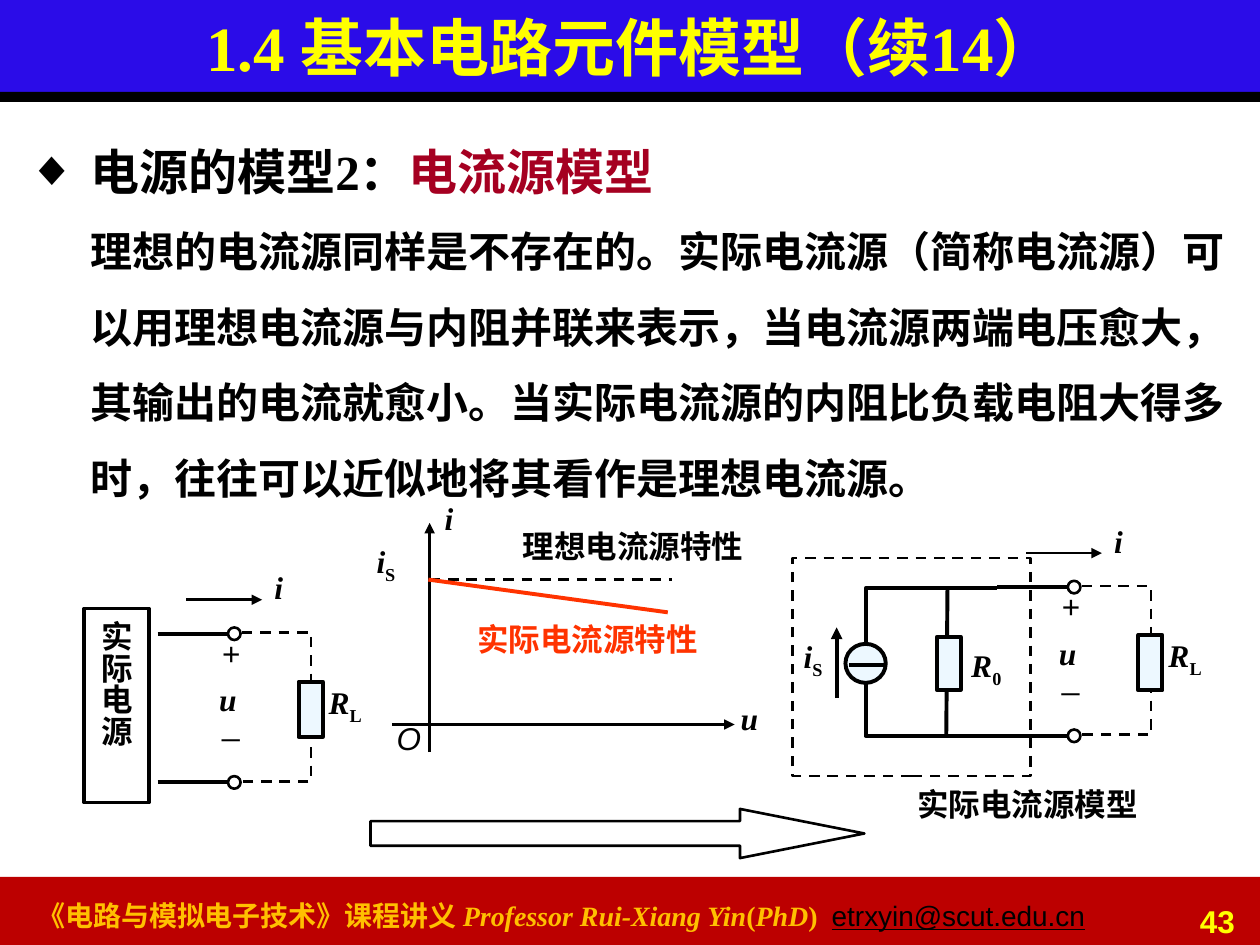
from lxml import etree
from pptx import Presentation
from pptx import util as u
from pptx.dml.color import RGBColor
from pptx.enum import dml, shapes, text
from pptx.oxml import ns

BLACK = RGBColor(0x00, 0x00, 0x00)
WHITE = RGBColor(0xFF, 0xFF, 0xFF)
YELLOW = RGBColor(0xFF, 0xFF, 0x00)
GOLD = RGBColor(0xFF, 0xC0, 0x00)
BLUE = RGBColor(0x2B, 0x0C, 0xE8)
RED = RGBColor(0xBC, 0x00, 0x00)
CRIMSON = RGBColor(0xA5, 0x00, 0x21)
ORANGE = RGBColor(0xFF, 0x33, 0x00)
PALE = RGBColor(0xED, 0xF8, 0xFF)
SERIF, SANS = "Times New Roman", "Arial"
THIN, THICK = 1.5, 2.25
KIND = shapes.MSO_SHAPE

# The slide is a grid of 100 columns by 75 rows
WIDTH, HEIGHT = u.Inches(10), u.Inches(7.5)
COL, ROW = WIDTH / 100, HEIGHT / 75


def cells(*values):
    """Turn alternating columns and rows into slide lengths."""
    return [round(v * (ROW if n % 2 else COL)) for n, v in enumerate(values)]


def place(item, *box):
    item.left, item.top, item.width, item.height = cells(*box)


def write(frame, *runs, size=18, font=SERIF, color=BLACK, bold=True,
          italic=False, underline=False, align=None):
    """Each run is a string, or a pair of a string and what differs."""
    para = frame.paragraphs[0]
    para.alignment = align
    base = dict(size=size, font=font, color=color, bold=bold,
                italic=italic, underline=underline, baseline=0)
    for item in runs:
        words, changes = (item, {}) if isinstance(item, str) else item
        style = {**base, **changes}
        if words == "\n":
            para.add_line_break()
            continue
        run = para.add_run()
        run.text = words
        run.font.size = u.Pt(style["size"])
        run.font.name = style["font"]
        run.font.color.rgb = style["color"]
        run.font.bold = style["bold"]
        run.font.italic = style["italic"]
        if style["underline"]:
            run.font.underline = True
        if style["baseline"]:
            run.font._element.set("baseline", str(style["baseline"]))
    return para


def label(slide, box, *runs, wrap=False, **style):
    area = slide.shapes.add_textbox(*cells(*box))
    area.text_frame.word_wrap = wrap
    if not wrap:
        area.text_frame.auto_size = text.MSO_AUTO_SIZE.SHAPE_TO_FIT_TEXT
    write(area.text_frame, *runs, **style)


def symbol(slide, x, y, width, name, subscript=""):
    runs = [(name, {"italic": True})]
    if subscript:
        runs.append((subscript, {"baseline": -25000}))
    label(slide, (x, y, width, 4), *runs)


def outline(item, color, width, dashed):
    item.line.color.rgb = color
    item.line.width = u.Pt(width)
    if dashed:
        item.line.dash_style = dml.MSO_LINE.DASH


def block(slide, box, kind=KIND.RECTANGLE, fill=None, line=None, dashed=False):
    item = slide.shapes.add_shape(kind, *cells(*box))
    item.shadow.inherit = False
    if fill is None:
        item.fill.background()
    else:
        item.fill.solid()
        item.fill.fore_color.rgb = fill
    if line is None:
        item.line.fill.background()
    else:
        outline(item, BLACK, line, dashed)
    return item


def wire(slide, start, end, width=THICK, color=BLACK, dashed=False, arrow=False):
    item = slide.shapes.add_connector(
        shapes.MSO_CONNECTOR.STRAIGHT, *cells(*start), *cells(*end))
    outline(item, color, width, dashed)
    if arrow:
        etree.SubElement(item.line._get_or_add_ln(), ns.qn("a:tailEnd"),
                         type="triangle")
    etree.SubElement(item._element.spPr, ns.qn("a:effectLst"))


def bent_wire(slide, points, width, dashed=False):
    first, *rest = [cells(*point) for point in points]
    builder = slide.shapes.build_freeform(*first)
    builder.add_line_segments(rest, close=False)
    item = builder.convert_to_shape()
    item.shadow.inherit = False
    item.fill.background()
    outline(item, BLACK, width, dashed)


def bands(slide):
    block(slide, (-0.2, 69.6, 100.4, 5.6), fill=RED)
    block(slide, (-0.2, 0, 100.4, 7.6), fill=BLUE)
    block(slide, (-0.1, 7.3, 100.2, 0.8), fill=BLACK)
    label(slide, (2, 70.8, 88.2, 3.7), "《电路与模拟电子技术》课程讲义 ",
          ("Professor Rui-Xiang Yin", {"italic": True}), "(",
          ("PhD", {"italic": True}), ")  ",
          ("etrxyin@scut.edu.cn", dict(font=SANS, color=BLACK, bold=False,
                                       underline=True)),
          wrap=True, size=16, color=GOLD)
    label(slide, (89.6, 71.1, 9.4, 3.1), "43", wrap=True, font=SANS,
          color=YELLOW, align=text.PP_ALIGN.RIGHT)


def title_and_body(slide):
    title, body = slide.placeholders
    for holder in (title, body):  # bring in front of the bands
        holder.element.getparent().append(holder.element)
        holder.text_frame.auto_size = text.MSO_AUTO_SIZE.NONE
    place(title, 0, 0, 100.2, 7.3)
    title.text_frame.vertical_anchor = text.MSO_ANCHOR.MIDDLE
    write(title.text_frame, "1.4 基本电路元件模型（续14）", size=36,
          color=YELLOW, align=text.PP_ALIGN.CENTER)
    place(body, 1.2, 8.4, 97.2, 60.6)
    para = write(
        body.text_frame, "电源的模型2：", ("电流源模型", {"color": CRIMSON}), "\n",
        ("理想的电流源同样是不存在的。实际电流源（简称电流源）可以用理想电流源与内阻"
         "并联来表示，当电流源两端电压愈大，其输出的电流就愈小。当实际电流源的内阻比"
         "负载电阻大得多时，往往可以近似地将其看作是理想电流源。", {"size": 24}),
        size=28)
    para.line_spacing = 1.5
    para.space_before = u.Pt(0)
    props = para._p.get_or_add_pPr()
    props.set("marL", str(u.Inches(0.5)))
    props.set("indent", str(-u.Inches(0.5)))
    etree.SubElement(props, ns.qn("a:buChar"), char="◆")


def load_port(slide, x, y):
    """Two terminals feeding a load; x, y is where the upper lead starts."""
    for drop in (0, 11.8):
        wire(slide, (x, y + drop), (x + 5.7, y + drop))
        block(slide, (x + 5.6, y + drop - 0.5, 1, 1), KIND.OVAL, line=THIN)
    for sign, drop in (("+", -0.5), ("_", 5.1)):
        label(slide, (x + 4.15, y + drop, 3.9, 5), sign, font=SANS, bold=False)
    symbol(slide, x + 3.9, y + 3.2, 3.4, "u")
    wire(slide, (x + 2.3, y - 2.7), (x + 8.3, y - 2.7), THIN, arrow=True)
    symbol(slide, x + 8.3, y - 5.7, 2.7, "i")
    bent_wire(slide, [(x + 6.7, y - 0.1), (x + 12.2, y - 0.1),
                      (x + 12.2, y + 11.7), (x + 6.5, y + 11.7)], THIN, True)
    block(slide, (x + 11.2, y + 3.8, 1.9, 4.4), fill=PALE, line=THICK)
    symbol(slide, x + 12.6, y + 3.4, 4.8, "R", "L")


def real_source(slide):
    box = block(slide, (6.7, 48.3, 5.1, 15.4), line=THICK)
    frame = box.text_frame
    frame.vertical_anchor = text.MSO_ANCHOR.MIDDLE
    frame._txBody.bodyPr.set("vert", "eaVert")
    write(frame, "实际电源", font=SANS, align=text.PP_ALIGN.CENTER)
    load_port(slide, 12.5, 50.3)


def characteristic(slide):
    wire(slide, (31.1, 57.5), (58.3, 57.5), THIN, arrow=True)
    wire(slide, (34.1, 59.7), (34.1, 41.5), THIN, arrow=True)
    wire(slide, (34.1, 46), (53.3, 46), THIN, dashed=True)
    wire(slide, (34, 46), (53, 48.6), color=ORANGE)
    symbol(slide, 34.3, 39.1, 2.7, "i")
    symbol(slide, 57.8, 55, 3.4, "u")
    symbol(slide, 28.9, 42.5, 3.6, "i", "S")
    label(slide, (30.5, 56.6, 4, 4), "O", font=SANS, bold=False, italic=True)
    label(slide, (40.5, 41.3, 19.8, 4), "理想电流源特性", font=SANS)
    label(slide, (36.9, 48.7, 19.8, 4), "实际电流源特性", font=SANS, color=ORANGE)


def source_model(slide):
    label(slide, (71.8, 61.8, 19.8, 4), "实际电流源模型", font=SANS)
    load_port(slide, 79.15, 46.6)
    bent_wire(slide, [(79.1, 46.7), (68.7, 46.7), (68.7, 58.4), (79.4, 58.4)], THICK)
    block(slide, (62.9, 44.3, 18.9, 17.3), line=THIN, dashed=True)
    # Ideal source
    block(slide, (67.1, 51.1, 3.2, 3.1), KIND.OVAL, fill=PALE, line=THICK)
    wire(slide, (67.4, 52.8), (70.2, 52.8))
    wire(slide, (66.4, 55.4), (66.4, 49.8), arrow=True)
    symbol(slide, 62.8, 50.1, 3.6, "i", "S")
    # Internal resistance
    wire(slide, (75.2, 46.7), (75.1, 58.5))
    block(slide, (74.35, 50.55, 1.9, 4.2), fill=PALE, line=THICK)
    symbol(slide, 76.1, 50.8, 4.5, "R", "0")


def main():
    deck = Presentation()
    deck.slide_width, deck.slide_height = WIDTH, HEIGHT
    slide = deck.slides.add_slide(deck.slide_layouts[1])
    slide.background.fill.solid()
    slide.background.fill.fore_color.rgb = WHITE
    bands(slide)
    title_and_body(slide)
    real_source(slide)
    # Arrow from the real source to its model
    step = block(slide, (29.4, 64.2, 39.2, 3.9), KIND.RIGHT_ARROW, line=THIN)
    step.adjustments[1] = 2.53
    characteristic(slide)
    source_model(slide)
    deck.save("out.pptx")


if __name__ == "__main__":
    main()
